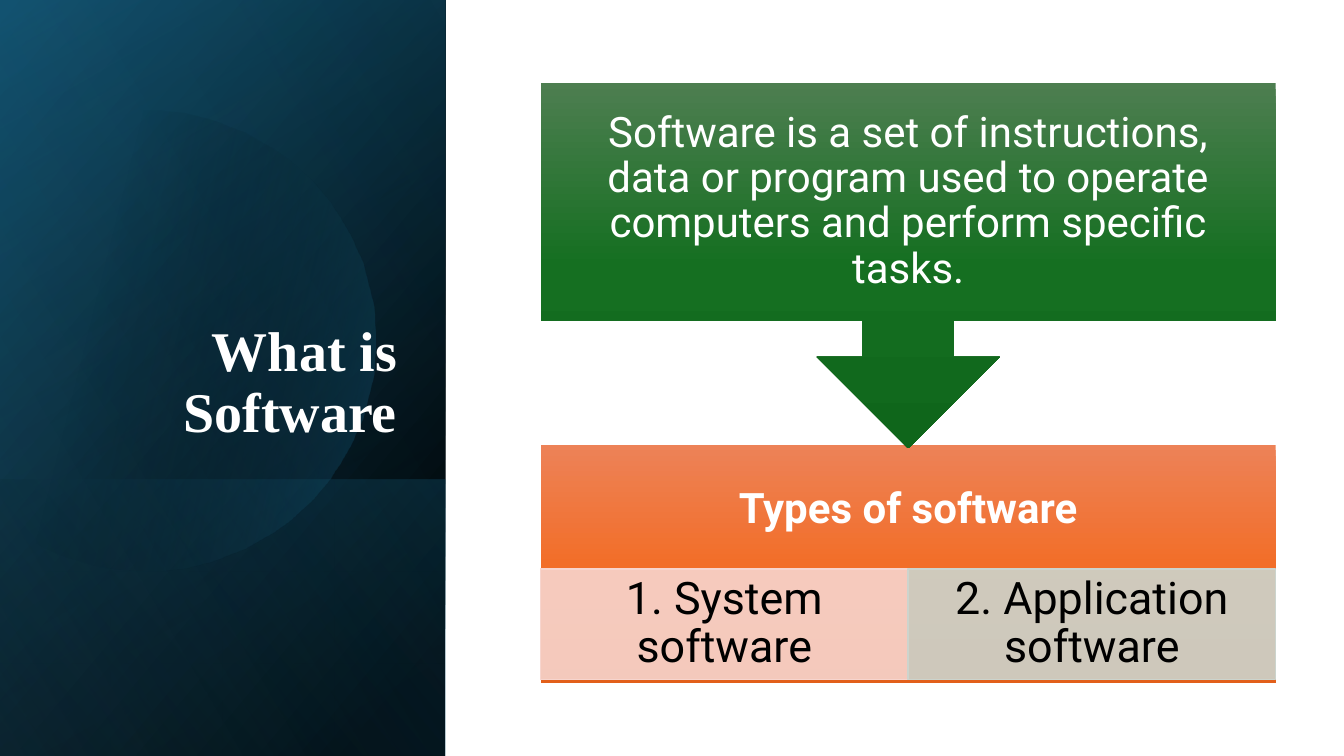
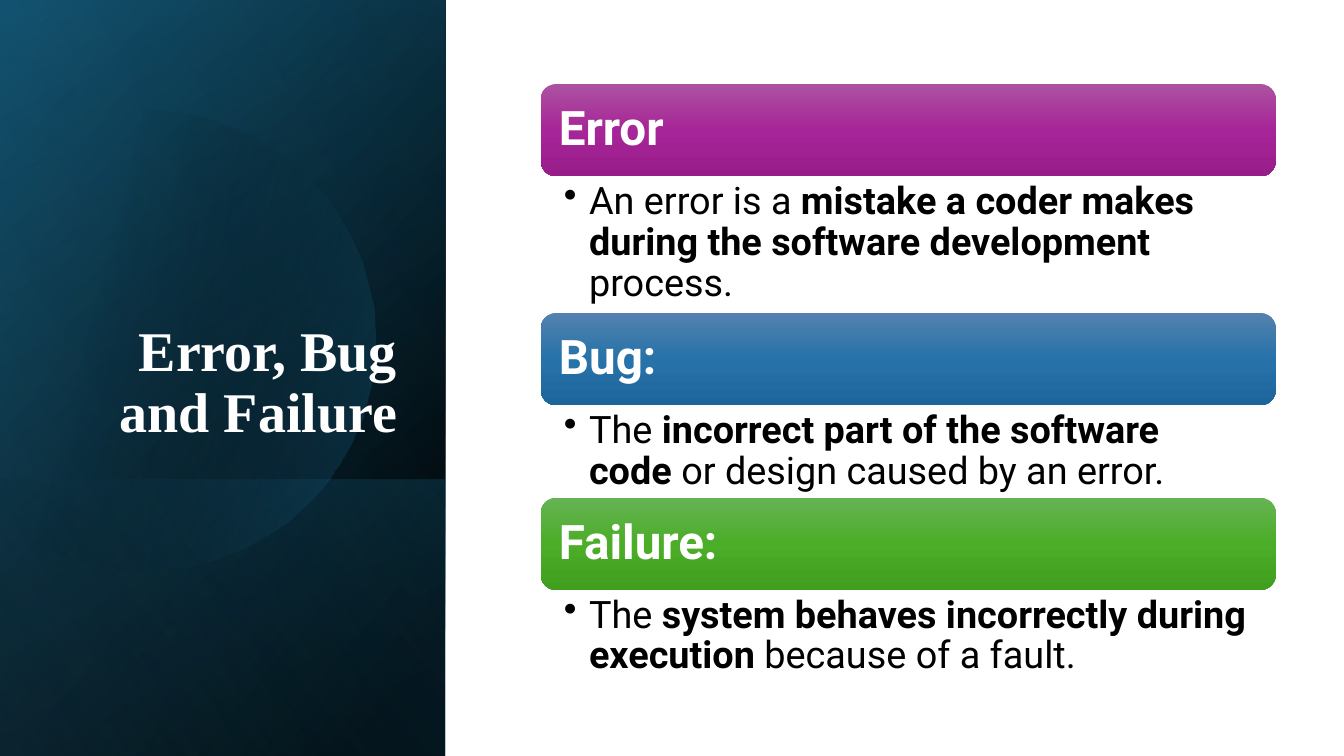
import math

from lxml import etree
from pptx import Presentation
from pptx.dml.color import RGBColor
from pptx.enum.shapes import MSO_SHAPE
from pptx.enum.text import MSO_ANCHOR, PP_ALIGN
from pptx.oxml.ns import qn
from pptx.util import Pt

RECTANGLE = MSO_SHAPE.RECTANGLE
ROUNDED = MSO_SHAPE.ROUNDED_RECTANGLE
CALLOUT = MSO_SHAPE.DOWN_ARROW_CALLOUT
TOP, MIDDLE, BOTTOM = MSO_ANCHOR.TOP, MSO_ANCHOR.MIDDLE, MSO_ANCHOR.BOTTOM
LEFT, CENTER, RIGHT = PP_ALIGN.LEFT, PP_ALIGN.CENTER, PP_ALIGN.RIGHT

PX = 9525  # EMU per px
WIDTH, HEIGHT = 1280, 720
PANEL_WIDTH = 424
CONTENT_LEFT, CONTENT_WIDTH = 515, 700
WHITE, BLACK = "FFFFFF", "000000"

TITLE = {"name": "Times New Roman", "size": Pt(40), "bold": True}
STATEMENT = {"name": "Roboto", "size": Pt(30), "bold": False}
TYPES = {"name": "Roboto", "size": Pt(30), "bold": True}
KIND = {"name": "Roboto", "size": Pt(32), "bold": False}
TERM = {"name": "Roboto", "size": Pt(34), "bold": True}
MEANING = {"name": "Roboto", "size": Pt(27), "bold": False}

# Panel layers: top, height, gradient angle, stops (position, colour, opacity)
PANEL_LAYERS = [
    (0, HEIGHT, 220, [(8, BLACK, 100), (100, "104862", 100)]),
    (0, HEIGHT, 240, [(0, BLACK, 0), (99, "156082", 46)]),
    (457, HEIGHT - 457, 140, [(2, "156082", 29), (100, BLACK, 30)]),
    (0, HEIGHT, 150, [(0, BLACK, 0), (99, "46B1E1", 11)]),
]
DISC_X, DISC_Y, DISC_RADIUS = 139, 324, 219
DISC_STOPS = [(29, BLACK, 0), (100, "156082", 43)]


def paint(shape, stops, angle=90):
    """Fill with one solid colour or a linear gradient, without line or shadow."""
    shape.shadow.inherit = False
    shape.line.fill.background()
    shape.fill.background()
    gradient = len(stops) > 1
    fill = etree.Element(qn("a:gradFill" if gradient else "a:solidFill"))
    parent = etree.SubElement(fill, qn("a:gsLst")) if gradient else fill
    for position, colour, opacity in stops:
        holder = parent
        if gradient:
            holder = etree.SubElement(parent, qn("a:gs"), pos=str(position * 1000))
        element = etree.SubElement(holder, qn("a:srgbClr"), val=colour)
        etree.SubElement(element, qn("a:alpha"), val=str(opacity * 1000))
    if gradient:
        etree.SubElement(fill, qn("a:lin"), ang=str(angle * 60000), scaled="0")
    properties = shape.element.spPr
    properties.replace(properties.find(qn("a:noFill")), fill)


def write(shape, runs, style, colour, align, anchor, margins, bullet=False):
    """Write one paragraph; each run is (text, changes to the style)."""
    frame = shape.text_frame
    frame.word_wrap = True
    frame.vertical_anchor = anchor
    for side, margin in zip(("left", "top", "right", "bottom"), margins):
        setattr(frame, "margin_" + side, margin * PX)
    paragraph = frame.paragraphs[0]
    if bullet:
        properties = paragraph._p.get_or_add_pPr()
        properties.set("marL", str(24 * PX))
        properties.set("indent", str(-24 * PX))
        etree.SubElement(properties, qn("a:buChar"), char="•")
    paragraph.alignment = align
    paragraph.line_spacing = 0.9
    for text, changes in runs:
        run = paragraph.add_run()
        run.text = text
        for name, value in {**style, **changes}.items():
            setattr(run.font, name, value)
        run.font.color.rgb = RGBColor.from_string(colour)


presentation = Presentation()
presentation.slide_width = WIDTH * PX
presentation.slide_height = HEIGHT * PX

# Shared: dark panel with a disc cut off at the slide edge, and the title
slides = []
reach = math.acos(-DISC_X / DISC_RADIUS)
arc = [(DISC_X + DISC_RADIUS * math.cos(reach * step / 60),
        DISC_Y + DISC_RADIUS * math.sin(reach * step / 60))
       for step in range(-60, 61)]
for title in ("What is Software", "Error, Bug and Failure"):
    slide = presentation.slides.add_slide(presentation.slide_layouts[6])
    slides.append(slide)
    for index, (top, height, angle, stops) in enumerate(PANEL_LAYERS):
        if index == 3:
            builder = slide.shapes.build_freeform(*arc[0], scale=PX)
            builder.add_line_segments(arc[1:], close=True)
            paint(builder.convert_to_shape(), DISC_STOPS, 14)
        layer = slide.shapes.add_shape(RECTANGLE, 0, top * PX, PANEL_WIDTH * PX, height * PX)
        paint(layer, stops, angle)
    box = slide.shapes.add_textbox(61 * PX, 177 * PX, 327 * PX, 251 * PX)
    write(box, [(title, {})], TITLE, WHITE, RIGHT, BOTTOM, (10, 5, 10, 5))

definition_slide, terms_slide = slides

# Slide 1: types band with its two kinds
types_top, types_height, header_height = 424, 227, 123
band = definition_slide.shapes.add_shape(
    RECTANGLE, CONTENT_LEFT * PX, types_top * PX, CONTENT_WIDTH * PX, types_height * PX)
paint(band, [(0, "ED8257", 100), (50, "F26E29", 100), (100, "E25F1A", 100)])
write(band, [("Types of software", {})], TYPES, WHITE, CENTER, MIDDLE,
      (22, 22, 22, 22 + types_height - header_height))

kind_width = CONTENT_WIDTH // 2
kinds = [("1. System software", "F7D5CE"), ("2. Application software", "CCD4CD")]
for column, (text, colour) in enumerate(kinds):
    kind = definition_slide.shapes.add_shape(
        RECTANGLE, (CONTENT_LEFT + column * kind_width) * PX, 542 * PX,
        kind_width * PX, 105 * PX)
    paint(kind, [(0, colour, 90)])
    kind.line.color.rgb = RGBColor.from_string(colour)
    kind.line.width = Pt(1)
    write(kind, [(text, {})], KIND, BLACK, CENTER, MIDDLE, (24, 4, 24, 4))

# Slide 1: definition pointing down to the types
callout = definition_slide.shapes.add_shape(
    CALLOUT, CONTENT_LEFT * PX, 79 * PX, CONTENT_WIDTH * PX, 348 * PX)
paint(callout, [(0, "4D7E50", 100), (50, "156F21", 100), (100, "0F661B", 100)])
definition = ("Software is a set of instructions, data or program used to operate "
              "computers and perform specific tasks.")
write(callout, [(definition, {})], STATEMENT, WHITE, CENTER, MIDDLE, (22, 22, 22, 22))

# Slide 2: term bars, each followed by its meaning
BOLD = {"bold": True}
terms = [
    ("Error", ("AC53A0", "A62598", "991C8B"), 130,
     [("An error is a ", {}),
      ("mistake a coder makes during the software development ", BOLD),
      ("process.", {})]),
    ("Bug:", ("5382AF", "2772A9", "1D669C"), 88,
     [("The ", {}),
      ("incorrect part of the software code ", BOLD),
      ("or design caused by an error.", {})]),
    ("Failure:", ("66B354", "4BAD28", "409F1E"), 88,
     [("The ", {}),
      ("system behaves incorrectly during execution", BOLD),
      (" because of a fault.", {})]),
]
bar_height = 88
top = 80
for term, colours, meaning_height, runs in terms:
    bar = terms_slide.shapes.add_shape(
        ROUNDED, CONTENT_LEFT * PX, top * PX, CONTENT_WIDTH * PX, bar_height * PX)
    paint(bar, [(step * 50, colour, 100) for step, colour in enumerate(colours)])
    write(bar, [(term, {})], TERM, WHITE, LEFT, MIDDLE, (13, 13, 13, 13))
    top += bar_height
    meaning = terms_slide.shapes.add_textbox(
        CONTENT_LEFT * PX, top * PX, CONTENT_WIDTH * PX, meaning_height * PX)
    write(meaning, runs, MEANING, BLACK, LEFT, TOP, (22, 5, 25, 5), bullet=True)
    top += meaning_height

presentation.save("out.pptx")
